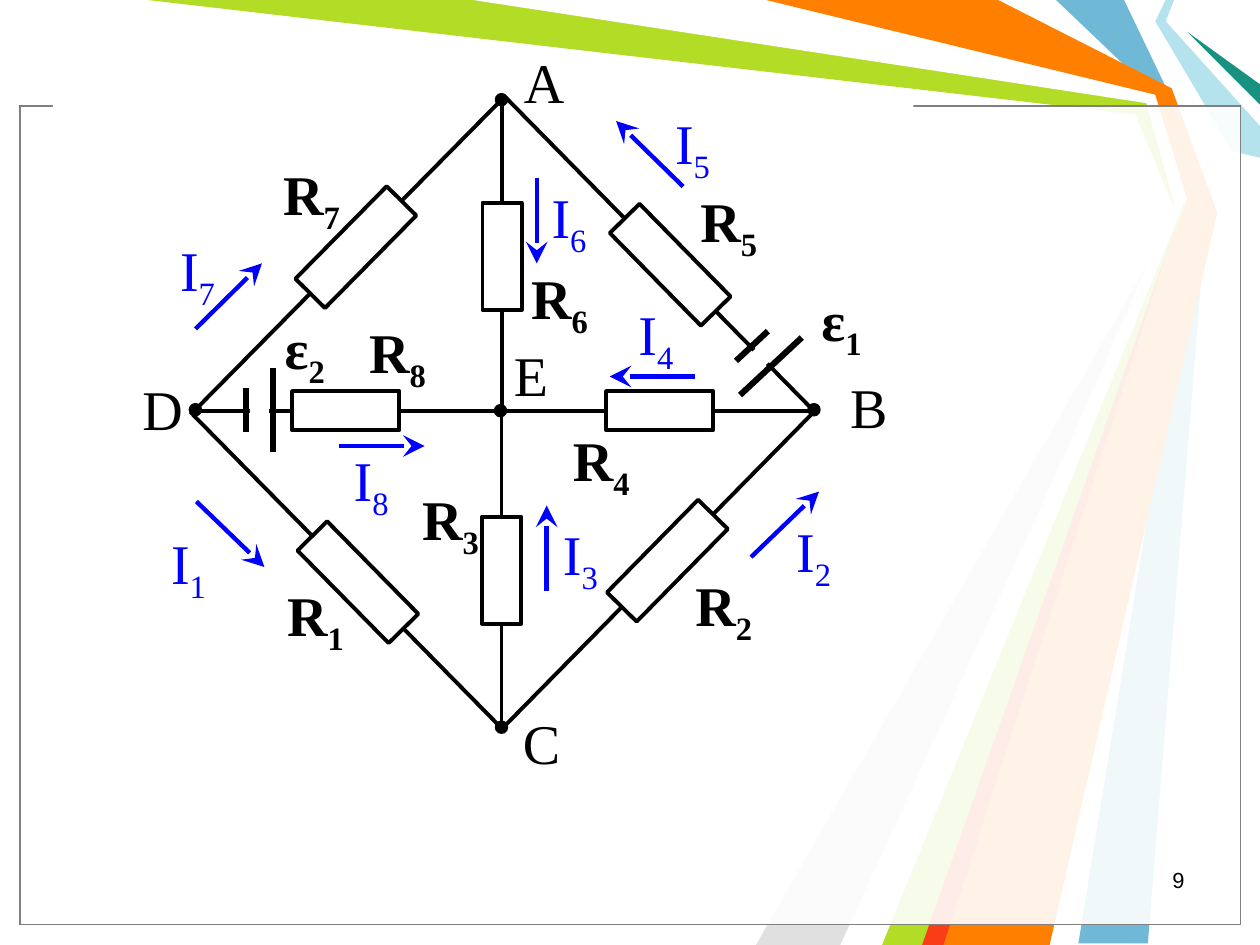
from math import atan2, cos, degrees, radians, sin

from lxml.etree import SubElement
from pptx import Presentation
from pptx.dml.color import RGBColor
from pptx.enum.shapes import MSO_CONNECTOR, MSO_SHAPE
from pptx.enum.text import MSO_AUTO_SIZE, PP_ALIGN
from pptx.oxml.ns import qn
from pptx.util import Cm, Pt

BLACK, WHITE, BLUE = "000000", "FFFFFF", "0000FF"

RIBBONS = [
    ("6FB9D7", [(22.66, 0), (23.6, 1.96), (24.33, 4.24), (23.14, 19.02),
                (21.74, 19.02), (24.13, 4.24), (23.29, 1.91), (21.29, 0)]),
    ("B3DC27", [(2.97, 0), (9.73, 0), (23.22, 1.98), (23.93, 4.29),
                (18.85, 19.05), (17.58, 19.05), (23.75, 4.39), (22.89, 2.31)]),
    ("E0E0E0", [(16.94, 19.05), (23.55, 4.6), (15.24, 19.05)]),
    (WHITE, [(9.53, 0), (23.11, 2.08), (23.67, 4.11), (17.15, 19.05),
             (17.78, 19.05), (23.9, 4.01), (23.29, 1.91), (15.24, 0)]),
    ("B4E3EE", [(23.5, 0), (23.29, 0.43), (24.84, 3.05), (25.4, 3.18),
                (25.4, 2.54), (23.5, 0.43), (23.67, 0)]),
    ("189180", [(25.4, 2.11), (23.93, 0.64), (25.4, 1.7)]),
    ("FF7F00", [(15.44, 0), (20.12, 0), (23.62, 1.78), (24.54, 4.29),
                (21.16, 19.05), (18.62, 19.05), (23.93, 4.01), (23.29, 1.91)]),
    ("F93D17", [(18.59, 19.05), (23.67, 4.65), (19.02, 19.05)]),
]

NODES = [(6.15, 6.27), (12.47, 6.25), (6.17, 12.65), (6.17, 0), (0, 6.25)]
STRAIGHT_BRANCHES = [
    ((6.25, 6.27), (12.47, 6.27)), ((-0.08, 6.27), (6.14, 6.27)),
    ((6.18, 0.05), (6.18, 6.27)), ((6.17, 6.37), (6.17, 12.6)),
]
DIAGONAL_BRANCHES = [
    ((6.19, 12.67), (12.49, 6.27)), ((-0.1, 6.35), (6.22, -0.05)),
    ((6.25, -0.05), (12.54, 6.35)), ((-0.05, 6.35), (6.25, 12.75)),
]
BATTERIES = [((1.29, 6.26), 0), ((11.41, 5.17), 47)]
CURRENTS = [
    ((9.83, 1.75), (8.48, 0.43)), ((11.2, 9.22), (12.57, 7.9)),
    ((0, 4.62), (1.34, 3.3)), ((0.02, 8.1), (1.39, 9.42)),
    ((2.89, 6.98), (4.62, 6.98)), ((10.08, 5.58), (8.35, 5.58)),
    ((7.08, 9.9), (7.08, 8.18)), ((6.88, 1.57), (6.88, 3.3)),
]
RESISTOR_LABELS = [
    ("R", "1", 1.6, 9.57), ("R", "3", 4.32, 7.64), ("R", "2", 9.83, 9.37),
    ("R", "4", 7.36, 6.45), ("R", "8", 3.25, 4.26), ("R", "6", 6.52, 3.17),
    ("R", "5", 9.93, 1.62), ("R", "7", 1.52, 1.09),
]
SOURCE_LABELS = [("ε", "1", 12.37, 3.63), ("ε", "2", 1.55, 4.19)]
NODE_LABELS = [
    ("Α", "", 6.37, -1.17), ("Β", "", 12.95, 5.38), ("C", "", 6.35, 12.14),
    ("D", "", -1.32, 5.41), ("E", "", 6.17, 4.72),
]
CURRENT_LABELS = [
    ("I", "5", 9.42, 0.05), ("I", "2", 11.86, 8.28), ("I", "4", 8.68, 3.91),
    ("I", "6", 6.93, 1.55), ("I", "3", 7.16, 8.33), ("I", "1", -0.74, 8.51),
    ("I", "7", -0.56, 2.61), ("I", "8", 2.94, 6.85),
]


def color(value):
    return RGBColor.from_string(value)


def paint(shape, fill, line=None, width=0.75, opacity=None):
    shape.shadow.inherit = False
    shape.fill.solid()
    shape.fill.fore_color.rgb = color(fill)
    if opacity:
        tint = shape.fill._xPr.find(qn("a:solidFill"))[0]
        SubElement(tint, qn("a:alpha")).set("val", str(opacity * 1000))
    if line:
        shape.line.color.rgb = color(line)
        shape.line.width = Pt(width)
    else:
        shape.line.fill.background()


def add_block(page, kind, center, size, angle=0, **look):
    (x, y), (width, height) = center, size
    shape = page.shapes.add_shape(kind, Cm(x - width / 2), Cm(y - height / 2), Cm(width), Cm(height))
    shape.rotation = angle
    paint(shape, **look)


def add_line(page, start, end, line=BLACK, width=2.25, arrow=False):
    connector = page.shapes.add_connector(
        MSO_CONNECTOR.STRAIGHT, *(Cm(value) for value in (*start, *end)))
    connector.line.color.rgb = color(line)
    connector.line.width = Pt(width)
    if arrow:
        tail = SubElement(connector.line._get_or_add_ln(), qn("a:tailEnd"))
        for name, value in (("type", "stealth"), ("w", "lg"), ("len", "lg")):
            tail.set(name, value)
    SubElement(connector._element.spPr, qn("a:effectLst"))


def add_text(page, text, left, top, width, height, subscript="", size=32,
             font="Times New Roman", ink=BLACK, bold=False, align=PP_ALIGN.LEFT,
             spacing=1.0, wrap=False):
    box = page.shapes.add_textbox(Cm(left), Cm(top), Cm(width), Cm(height))
    frame = box.text_frame
    frame.word_wrap = wrap
    frame.auto_size = MSO_AUTO_SIZE.NONE if wrap else MSO_AUTO_SIZE.SHAPE_TO_FIT_TEXT
    para = frame.paragraphs[0]
    para.alignment = align
    para.line_spacing = spacing
    for part, baseline in ((text, 0), (subscript, -25000)):
        if part:
            span = para.add_run()
            span.text = part
            span.font.name = font
            span.font.size = Pt(size)
            span.font.bold = bold
            span.font.color.rgb = color(ink)
            if baseline:
                span.font._element.set("baseline", str(baseline))


def draw_background(page, left, top):
    for fill, points in RIBBONS:
        units = [(round((left + x) * 100), round((top + y) * 100)) for x, y in points]
        outline = page.shapes.build_freeform(*units[0], scale=Cm(0.01))
        outline.add_line_segments(units[1:], close=True)
        paint(outline.convert_to_shape(), fill)
    for line in (BLACK, "808080"):
        add_block(page, MSO_SHAPE.RECTANGLE, (left + 12.71, top + 10.39), (24.61, 16.51),
                  fill=WHITE, line=line, opacity=69)
    add_block(page, MSO_SHAPE.RECTANGLE, (left + 9.74, top + 2.1), (17.35, 0.43), fill=WHITE)
    add_text(page, "9", left + 18.21, top + 17.45, 5.92, 0.84, size=12.5, font="Arial",
             align=PP_ALIGN.RIGHT, spacing=0.8, wrap=True)


def draw_branch(page, start, end, size, shift):
    angle = atan2(end[1] - start[1], end[0] - start[0])
    center = ((start[0] + end[0]) / 2 + shift * cos(angle),
              (start[1] + end[1]) / 2 + shift * sin(angle))
    add_line(page, start, end)
    add_block(page, MSO_SHAPE.RECTANGLE, center, size, degrees(angle),
              fill=WHITE, line=BLACK, width=2.25)


def draw_battery(page, center, angle):
    along, across = cos(radians(angle)), sin(radians(angle))
    for offset, half in ((-0.28, 0.44), (0.28, 0.85)):
        x, y = center[0] + offset * along, center[1] + offset * across
        add_line(page, (x + half * across, y - half * along),
                 (x - half * across, y + half * along), width=3.5)
    add_block(page, MSO_SHAPE.RECTANGLE, center, (0.38, 0.89), angle, fill=WHITE)


def draw_circuit(page, left, top):
    def at(point):
        return left + point[0], top + point[1]

    for branches, size, shift in ((STRAIGHT_BRANCHES, (2.16, 0.79), 0),
                                  (DIAGONAL_BRANCHES, (2.62, 0.84), 0.25)):
        for start, end in branches:
            draw_branch(page, at(start), at(end), size, shift)
    for node in NODES:
        add_block(page, MSO_SHAPE.OVAL, at(node), (0.2, 0.2), fill=BLACK, line=BLACK, width=2)
    for center, angle in BATTERIES:
        draw_battery(page, at(center), angle)
    for start, end in CURRENTS:
        add_line(page, at(start), at(end), line=BLUE, width=2.5, arrow=True)
    for labels, width, height, ink, bold in (
            (RESISTOR_LABELS, 1.65, 1.8, BLACK, True), (SOURCE_LABELS, 1.32, 1.8, BLACK, True),
            (NODE_LABELS, 1.27, 1.63, BLACK, False), (CURRENT_LABELS, 1.3, 1.8, BLUE, False)):
        for text, subscript, x, y in labels:
            add_text(page, text, *at((x, y)), width, height, subscript=subscript, ink=ink, bold=bold)


def main():
    deck = Presentation()
    deck.slide_width, deck.slide_height = Cm(25.4), Cm(19.05)
    page = deck.slides.add_slide(deck.slide_layouts[6])
    draw_background(page, 0, 0)
    draw_circuit(page, 3.94, 2.01)
    deck.save("out.pptx")


if __name__ == "__main__":
    main()
